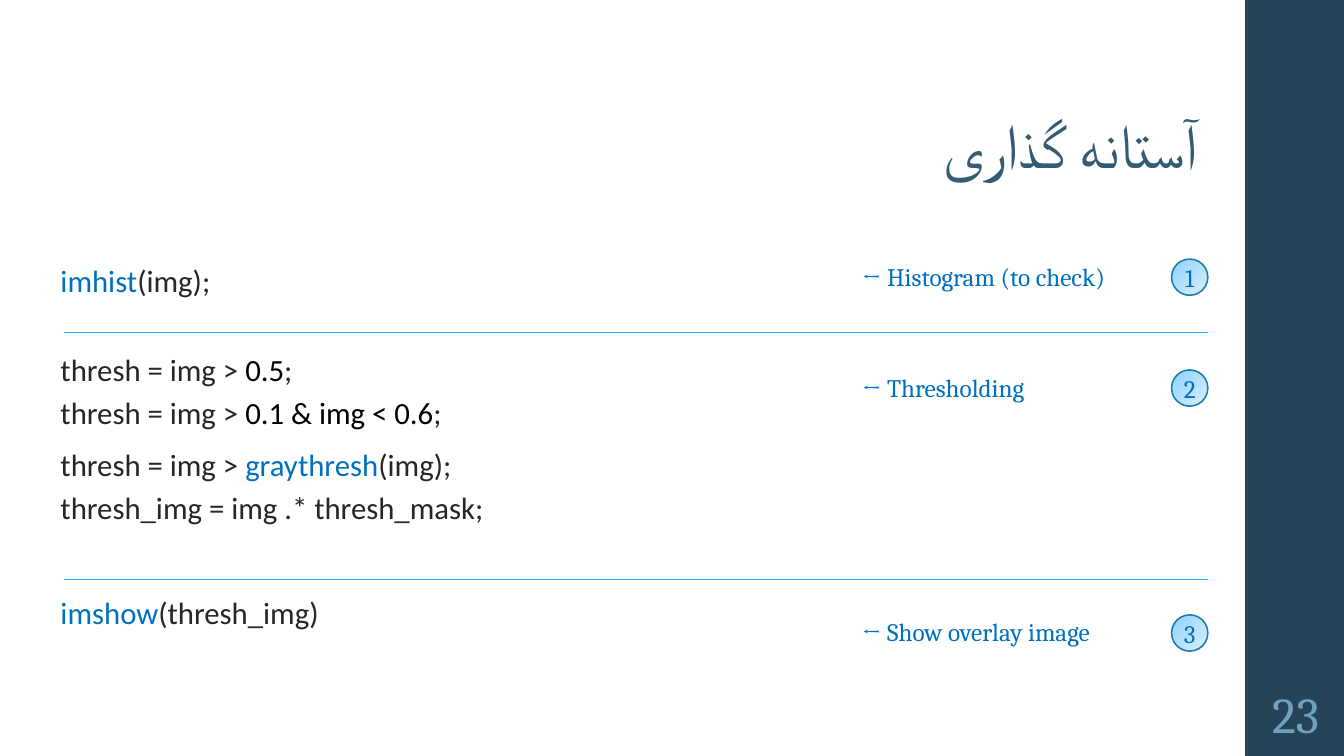
from lxml import etree
from pptx import Presentation
from pptx import util as u
from pptx.dml.color import RGBColor
from pptx.enum import shapes, text
from pptx.oxml import ns

NAVY = RGBColor(0x26, 0x44, 0x57)
TITLE_BLUE = RGBColor(0x33, 0x5B, 0x74)
PAGE_BLUE = RGBColor(0x70, 0xA1, 0xC0)
ACCENT = RGBColor(0x00, 0x70, 0xC0)
CODE_GREY = RGBColor(0x26, 0x26, 0x26)
BLACK = RGBColor(0, 0, 0)
RULE_BLUE = RGBColor(0x1C, 0xAD, 0xE4)
BADGE_LINE = RGBColor(0x15, 0x80, 0xA9)
BADGE_DARK = RGBColor(0x8F, 0xD1, 0xFF)
BADGE_LIGHT = RGBColor(0xDD, 0xEF, 0xFF)

# Each line: line spacing, points before, coloured pieces.
CODE = [
    (1.5, 3, [("imhist", ACCENT), ("(img);", CODE_GREY)]),
    (1.17, 33, [("thresh = img > ", CODE_GREY), ("0.5", BLACK), (";", CODE_GREY)]),
    (1.17, 0, [("thresh = img > ", CODE_GREY), ("0.1 & img < 0.6", BLACK), (";", CODE_GREY)]),
    (1.17, 6, [("thresh = img > ", CODE_GREY), ("graythresh", ACCENT), ("(img);", CODE_GREY)]),
    (1.17, 0, [("thresh_img = img .* thresh_mask;", CODE_GREY)]),
    (1.17, 44, [("imshow", ACCENT), ("(thresh_img)", CODE_GREY)]),
]
STEPS = [(2.57, "Histogram (to check)"), (3.67, "Thresholding"), (6.1, "Show overlay image")]


def place(shape, left, top, width, height):
    """Move a shape to a box given in inches."""
    shape.left, shape.top = u.Inches(left), u.Inches(top)
    shape.width, shape.height = u.Inches(width), u.Inches(height)


def style(run, size, color, face="Cambria"):
    """Set the font of a run."""
    run.font.size, run.font.name = u.Pt(size), face
    run.font.color.rgb = color


def add_title(slide, left, top, width, height):
    """Fill the title placeholder with the right-to-left heading."""
    title = slide.shapes.title
    place(title, left, top, width, height)
    frame = title.text_frame
    frame.text = "آستانه گذاری"
    frame.auto_size = text.MSO_AUTO_SIZE.NONE
    frame.vertical_anchor = text.MSO_ANCHOR.BOTTOM
    heading = frame.paragraphs[0]
    heading.alignment, heading.line_spacing = text.PP_ALIGN.RIGHT, 0.9
    heading._p.get_or_add_pPr().set("rtl", "1")
    run = heading.runs[0]
    style(run, 44, TITLE_BLUE)
    properties = run._r.get_or_add_rPr()
    properties.set("spc", "-50")
    etree.SubElement(properties, ns.qn("a:cs")).set("typeface", "Cambria")


def add_code(slide, left, top, width, height):
    """Fill the body placeholder with the coloured code lines."""
    code = slide.placeholders[1]
    place(code, left, top, width, height)
    frame = code.text_frame
    frame.auto_size = text.MSO_AUTO_SIZE.NONE
    frame.vertical_anchor = text.MSO_ANCHOR.TOP
    frame.text = "\n".join("" for _ in CODE)
    for line, (spacing, before, pieces) in zip(frame.paragraphs, CODE):
        line.alignment = text.PP_ALIGN.LEFT
        line.line_spacing = spacing
        line.space_before, line.space_after = u.Pt(before), u.Pt(0)
        properties = line._p.get_or_add_pPr()
        properties.set("marL", str(u.Inches(0.5)))
        properties.set("indent", "0")
        etree.SubElement(properties, ns.qn("a:buNone"))
        for words, color in pieces:
            run = line.add_run()
            run.text = words
            style(run, 22, color, "Calibri")


def add_side_band(slide, left, top, width, height):
    """Draw the dark band with the page number at its foot."""
    band = slide.shapes.add_shape(shapes.MSO_SHAPE.RECTANGLE, 0, 0, 0, 0)
    place(band, left, top, width, height)
    band.shadow.inherit = False
    band.fill.solid()
    band.fill.fore_color.rgb = NAVY
    band.line.fill.background()
    page = slide.shapes.add_textbox(0, 0, 0, 0)
    place(page, left, top + height - 0.75, width, 0.65)
    frame = page.text_frame
    frame.text, frame.word_wrap = "23", True
    frame.vertical_anchor = text.MSO_ANCHOR.MIDDLE
    frame.margin_left = frame.margin_right = u.Inches(0.05)
    frame.paragraphs[0].alignment = text.PP_ALIGN.CENTER
    style(frame.paragraphs[0].runs[0], 36, PAGE_BLUE)


def add_rule(slide, left, top, width):
    """Draw a thin line between two steps."""
    y = u.Inches(top)
    rule = slide.shapes.add_connector(
        shapes.MSO_CONNECTOR.STRAIGHT, u.Inches(left), y, u.Inches(left + width), y)
    rule.line.color.rgb, rule.line.width = RULE_BLUE, u.Pt(0.75)
    etree.SubElement(rule._element.spPr, ns.qn("a:effectLst"))


def add_step(slide, left, top, width, height, number, caption):
    """Draw a step's caption and its numbered badge at the right end."""
    note = slide.shapes.add_textbox(0, 0, 0, 0)
    place(note, left, top - 0.03, width - height - 0.2, 0.4)
    note.text_frame.text = f"← {caption}"
    note.text_frame.word_wrap = False
    note.text_frame.auto_size = text.MSO_AUTO_SIZE.SHAPE_TO_FIT_TEXT
    note.text_frame.paragraphs[0].alignment = text.PP_ALIGN.LEFT
    style(note.text_frame.paragraphs[0].runs[0], 18, ACCENT)

    badge = slide.shapes.add_shape(shapes.MSO_SHAPE.OVAL, 0, 0, 0, 0)
    place(badge, left + width - height, top, height, height)
    badge.shadow.inherit = False
    badge.fill.gradient()
    badge.fill.gradient_angle = 315
    for stop, color in zip(badge.fill.gradient_stops, (BADGE_DARK, BADGE_LIGHT)):
        stop.color.rgb = color
    for position, stop in enumerate(badge.fill.gradient_stops):
        stop.position = position
    badge.line.color.rgb, badge.line.width = BADGE_LINE, u.Pt(1.1)
    frame = badge.text_frame
    frame.text, frame.word_wrap = str(number), False
    frame.vertical_anchor = text.MSO_ANCHOR.MIDDLE
    frame.margin_left = frame.margin_right = frame.margin_top = frame.margin_bottom = 0
    frame.paragraphs[0].alignment = text.PP_ALIGN.CENTER
    style(frame.paragraphs[0].runs[0], 18, ACCENT)


def main():
    """Build the thresholding slide."""
    deck = Presentation()
    deck.slide_width, deck.slide_height = u.Inches(13.33), u.Inches(7.5)
    slide = deck.slides.add_slide(deck.slide_layouts[1])
    add_side_band(slide, 12.35, 0, 1, 7.5)
    add_title(slide, 1.38, 0.4, 10.6, 1.45)
    add_code(slide, 0, 2.36, 10.51, 5.31)
    for top in (3.3, 5.75):
        add_rule(slide, 0.63, top, 11.35)
    for number, (top, caption) in enumerate(STEPS, 1):
        add_step(slide, 8.45, top, 3.53, 0.36, number, caption)
    deck.save("out.pptx")


if __name__ == "__main__":
    main()
